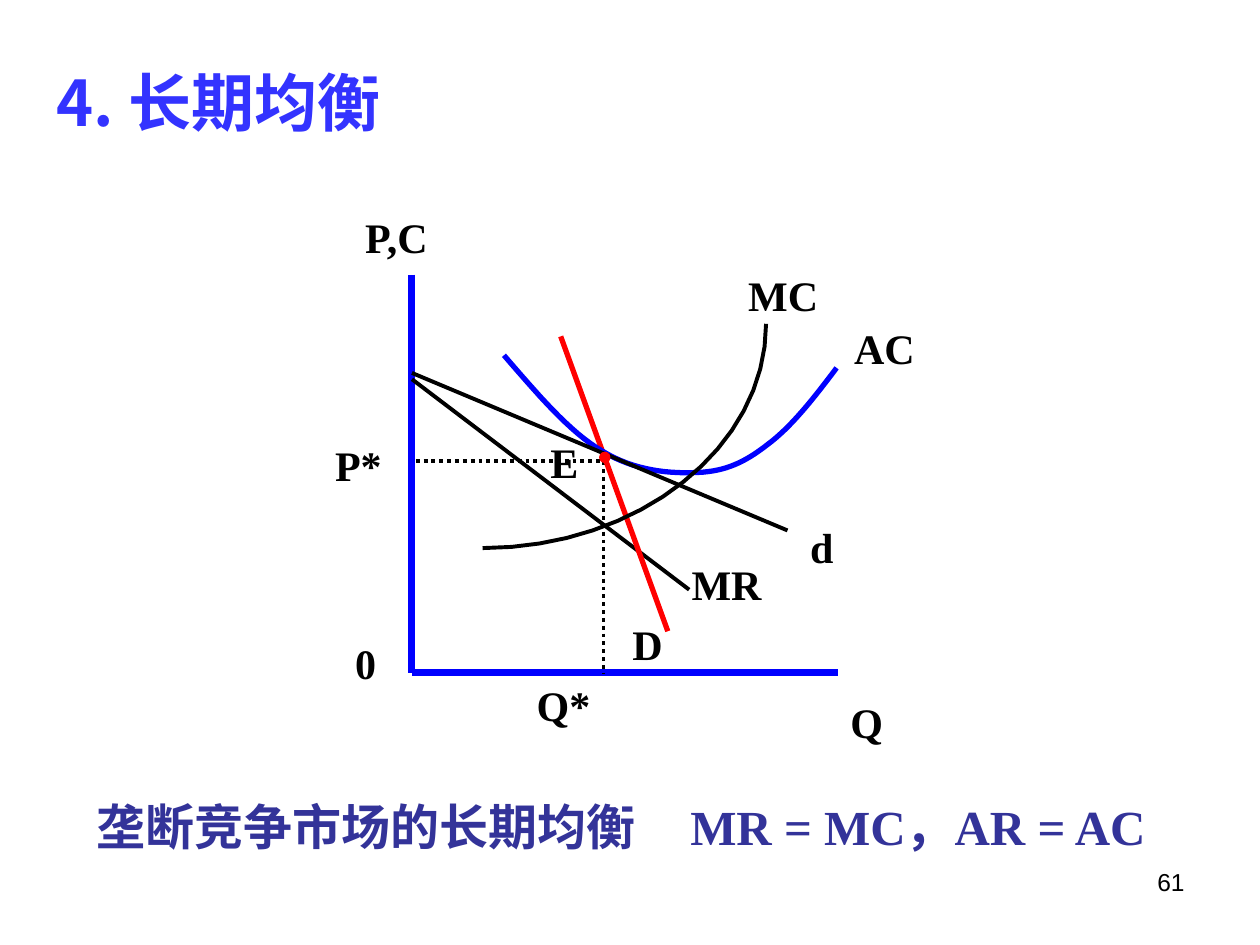
from dataclasses import dataclass

import lxml.etree
import pptx
import pptx.dml.color
import pptx.enum.dml
import pptx.enum.shapes
import pptx.enum.text
import pptx.oxml.ns
import pptx.util

Inches = pptx.util.Inches
Anchor = pptx.enum.text.MSO_ANCHOR
Point = tuple[float, float]

BLACK, BLUE, RED = "000000", "0000FF", "FF0000"
SERIF, SANS, CHINESE = "Times New Roman", "Arial", "Noto Sans CJK SC"
ORIGIN = (3.27, 5.34)
CURVE_STEPS = 16


@dataclass
class Line:
    start: Point
    end: Point
    color: str = BLACK
    width: float = 2.25
    dotted: bool = False


@dataclass
class Curve:
    start: Point
    cubics: list[tuple[Point, Point, Point]]
    color: str
    width: float


@dataclass
class Label:
    text: str
    left: float
    top: float
    width: float
    height: float = 0.5
    indent: float = 0.1
    anchor: Anchor = Anchor.TOP


LINES = [
    Line((3.27, 2.18), ORIGIN, BLUE, 4),
    Line(ORIGIN, (6.65, 5.34), BLUE, 4),
    Line((3.3, 3.66), (4.79, 3.66), dotted=True),
    Line((4.79, 3.66), (4.79, 5.34), dotted=True),
    Line((3.27, 3.01), (5.47, 4.68)),
    Line((4.45, 2.67), (5.3, 5.01), RED, 3),
]
DEMAND = Line((3.27, 2.96), (6.25, 4.21))

CURVES = [
    Curve((4, 2.82), [
        ((4.26, 3.12), (4.52, 3.43), (4.78, 3.58)),
        ((5.04, 3.74), (5.32, 3.76), (5.54, 3.75)),
        ((5.76, 3.74), (5.91, 3.67), (6.09, 3.53)),
        ((6.28, 3.39), (6.46, 3.16), (6.64, 2.92)),
    ], BLUE, 3),
    Curve((3.83, 4.35), [((5.07, 4.35), (6.08, 3.55), (6.08, 2.57))], BLACK, 2.25),
]

LABELS = [
    Label("P,C", 2.8, 1.23, 0.76, 0.9, anchor=Anchor.BOTTOM),
    Label("0", 2.72, 5.01, 0.35),
    Label("P*", 2.48, 3.44, 0.76, indent=0.18),
    Label("Q*", 4.08, 5.34, 0.76, indent=0.18),
    Label("Q", 6.65, 5.01, 0.4, 0.97, anchor=Anchor.BOTTOM),
    Label("MR", 5.39, 4.38, 0.83, 0.56),
    Label("d", 6.25, 4.09, 0.76, indent=0.18),
    Label("D", 4.92, 4.46, 0.48, 0.9, anchor=Anchor.BOTTOM),
    Label("E", 4.27, 3.01, 0.48, 0.9, anchor=Anchor.BOTTOM),
    Label("MC", 5.84, 2.09, 0.83),
]
AVERAGE_COST = Label("AC", 6.68, 2.51, 0.83)


def rgb(color: str) -> pptx.dml.color.RGBColor:
    return pptx.dml.color.RGBColor.from_string(color)


def format_text(paragraph, size: float, font: str, color: str, bold: bool = True) -> None:
    for span in paragraph.runs:
        span.font.size = pptx.util.Pt(size)
        span.font.name = font
        span.font.bold = bold
        span.font.color.rgb = rgb(color)
        east_asian = lxml.etree.SubElement(span.font._element, pptx.oxml.ns.qn("a:ea"))
        east_asian.set("typeface", CHINESE)


def style_line(line, color: str, width: float) -> None:
    line.color.rgb = rgb(color)
    line.width = pptx.util.Pt(width)


def draw_line(shapes, line: Line) -> None:
    ends = [Inches(value) for value in line.start + line.end]
    connector = shapes.add_connector(pptx.enum.shapes.MSO_CONNECTOR.STRAIGHT, *ends)
    style_line(connector.line, line.color, line.width)
    if line.dotted:
        connector.line.dash_style = pptx.enum.dml.MSO_LINE.ROUND_DOT
    properties = connector._element.spPr
    lxml.etree.SubElement(properties, pptx.oxml.ns.qn("a:effectLst"))


def cubic_points(*corners: Point) -> list[Point]:
    """Points along one cubic, in EMU, without its start."""
    points = []
    for step in range(1, CURVE_STEPS + 1):
        t = step / CURVE_STEPS
        u = 1 - t
        weights = (u**3, 3 * u * u * t, 3 * u * t * t, t**3)
        points.append(tuple(Inches(sum(w * c[axis] for w, c in zip(weights, corners)))
                            for axis in (0, 1)))
    return points


def draw_curve(shapes, curve: Curve) -> None:
    start = curve.start
    builder = shapes.build_freeform(Inches(start[0]), Inches(start[1]))
    for first, second, end in curve.cubics:
        builder.add_line_segments(cubic_points(start, first, second, end), close=False)
        start = end
    shape = builder.convert_to_shape()
    shape.shadow.inherit = False
    shape.fill.background()
    style_line(shape.line, curve.color, curve.width)


def add_text(shapes, label: Label):
    box = shapes.add_textbox(*(Inches(value) for value in
                               (label.left, label.top, label.width, label.height)))
    frame = box.text_frame
    frame.word_wrap = True
    frame.margin_left = Inches(label.indent)
    frame.vertical_anchor = label.anchor
    frame.text = label.text
    return frame.paragraphs[0]


def draw_label(shapes, label: Label) -> None:
    format_text(add_text(shapes, label), 24, SERIF, BLACK)


def add_tab_stop(paragraph, position: float) -> None:
    tabs = lxml.etree.SubElement(paragraph._p.get_or_add_pPr(), pptx.oxml.ns.qn("a:tabLst"))
    tab = lxml.etree.SubElement(tabs, pptx.oxml.ns.qn("a:tab"))
    tab.set("pos", str(Inches(position)))
    tab.set("algn", "l")


def main() -> None:
    deck = pptx.Presentation()
    deck.slide_width, deck.slide_height = Inches(10), Inches(7.5)
    page = deck.slides.add_slide(deck.slide_layouts[5])

    # Title
    title = page.shapes.title
    title.left, title.top = Inches(0.35), Inches(0.36)
    title.width, title.height = Inches(6.46), Inches(0.79)
    title.text_frame.text = "4. 长期均衡"
    title.text_frame.vertical_anchor = Anchor.MIDDLE
    title.text_frame.margin_top = Inches(0.14)
    heading = title.text_frame.paragraphs[0]
    heading.alignment = pptx.enum.text.PP_ALIGN.LEFT
    format_text(heading, 36, CHINESE, "3333FF")

    # Page number
    number = add_text(page.shapes, Label("61", 7.17, 6.83, 2.33, 0.52))
    number.alignment = pptx.enum.text.PP_ALIGN.RIGHT
    format_text(number, 14, SANS, BLACK, bold=False)

    # Diagram: axes, guides, curves and their labels
    diagram = page.shapes.add_group_shape().shapes
    for line in LINES:
        draw_line(diagram, line)
    for curve in CURVES:
        draw_curve(diagram, curve)
    for label in LABELS:
        draw_label(diagram, label)

    # Individual demand, average cost label and equilibrium point
    draw_line(page.shapes, DEMAND)
    draw_label(page.shapes, AVERAGE_COST)
    dot = page.shapes.add_shape(pptx.enum.shapes.MSO_SHAPE.OVAL, Inches(4.76),
                                Inches(3.59), Inches(0.08), Inches(0.08))
    dot.shadow.inherit = False
    dot.fill.solid()
    dot.fill.fore_color.rgb = rgb(RED)
    style_line(dot.line, RED, 0.75)

    # Conclusion
    conclusion = add_text(page.shapes, Label(
        "垄断竞争市场的长期均衡\tMR = MC，AR = AC", 0.67, 6.27, 8.58, 1.04))
    add_tab_stop(conclusion, 4.71)
    format_text(conclusion, 28, SERIF, "333399")

    deck.save("out.pptx")


if __name__ == "__main__":
    main()
